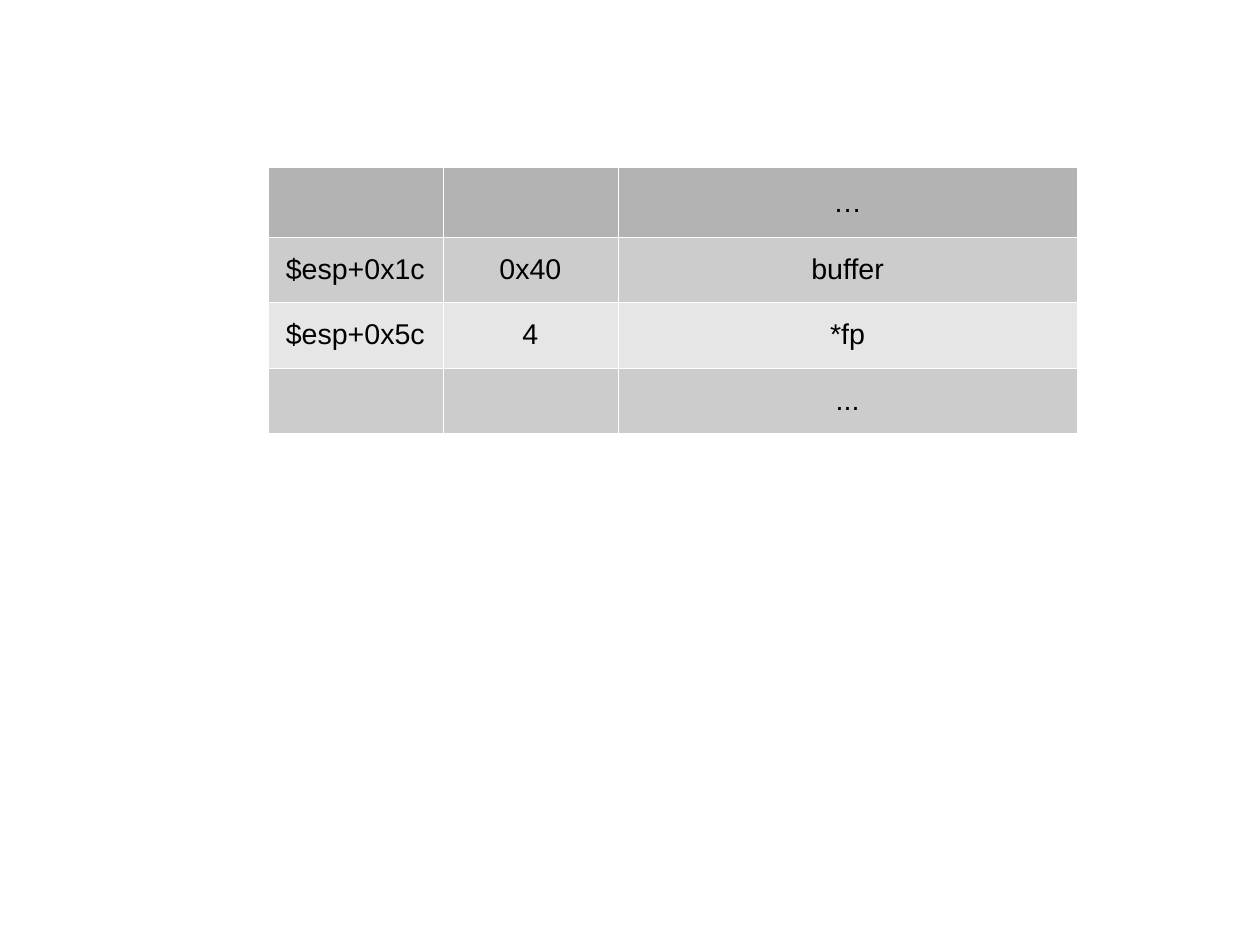
from lxml import etree
from pptx import Presentation
from pptx.dml.color import RGBColor
from pptx.enum.text import MSO_ANCHOR, PP_ALIGN
from pptx.oxml.ns import qn
from pptx.util import Cm, Pt

CENTER = PP_ALIGN.CENTER
MIDDLE = MSO_ANCHOR.MIDDLE

COLORS = {
    "head": "B3B3B3",
    "dark": "CCCCCC",
    "light": "E6E6E6",
    "line": "FFFFFF",
    "text": "000000",
}
CELL = {
    "vertical_anchor": MIDDLE,
    "margin_left": Cm(0.25),
    "margin_right": Cm(0.25),
    "margin_top": Cm(0.13),
    "margin_bottom": Cm(0.13),
}
FONT = {"name": "Arial", "size": Pt(18)}
WIDTHS = [3.89, 3.89, 10.21]
ROWS = [
    ("head", 1.55, ["", "", "…"]),
    ("dark", 1.45, ["$esp+0x1c", "0x40", "buffer"]),
    ("light", 1.45, ["$esp+0x5c", "4", "*fp"]),
    ("dark", 1.45, ["", "", "..."]),
]


def set_all(item, values):
    for name, value in values.items():
        setattr(item, name, value)


def rgb(name):
    return RGBColor.from_string(COLORS[name])


def add_lines(cell):
    """Draw a hairline on each side of the cell."""
    props = cell._tc.get_or_add_tcPr()
    for index, side in enumerate(("lnL", "lnR", "lnT", "lnB")):
        line = etree.Element(qn(f"a:{side}"), w="720")
        fill = etree.SubElement(line, qn("a:solidFill"))
        etree.SubElement(fill, qn("a:srgbClr"), val=COLORS["line"])
        props.insert(index, line)


def fill_cell(cell, text, shade):
    set_all(cell, CELL)
    cell.fill.solid()
    cell.fill.fore_color.rgb = rgb(shade)
    add_lines(cell)
    para = cell.text_frame.paragraphs[0]
    para.alignment = CENTER
    set_all(para.font, FONT)
    if text:
        run = para.add_run()
        run.text = text
        set_all(run.font, FONT)
        run.font.color.rgb = rgb("text")


def add_stack(slide, left, top):
    """Add the table of stack addresses, sizes and names."""
    height = sum(row[1] for row in ROWS)
    frame = slide.shapes.add_table(
        len(ROWS), len(WIDTHS), Cm(left), Cm(top), Cm(sum(WIDTHS)), Cm(height)
    )
    table = frame.table
    set_all(table, {"first_row": False, "horz_banding": False})
    for column, width in zip(table.columns, WIDTHS):
        column.width = Cm(width)
    for row, (shade, high, texts) in zip(table.rows, ROWS):
        row.height = Cm(high)
        for cell, text in zip(row.cells, texts):
            fill_cell(cell, text, shade)


def main():
    deck = Presentation()
    set_all(deck, {"slide_width": Cm(28), "slide_height": Cm(21)})
    slide = deck.slides.add_slide(deck.slide_layouts[6])
    add_stack(slide, 5.95, 3.72)
    deck.save("out.pptx")


if __name__ == "__main__":
    main()
